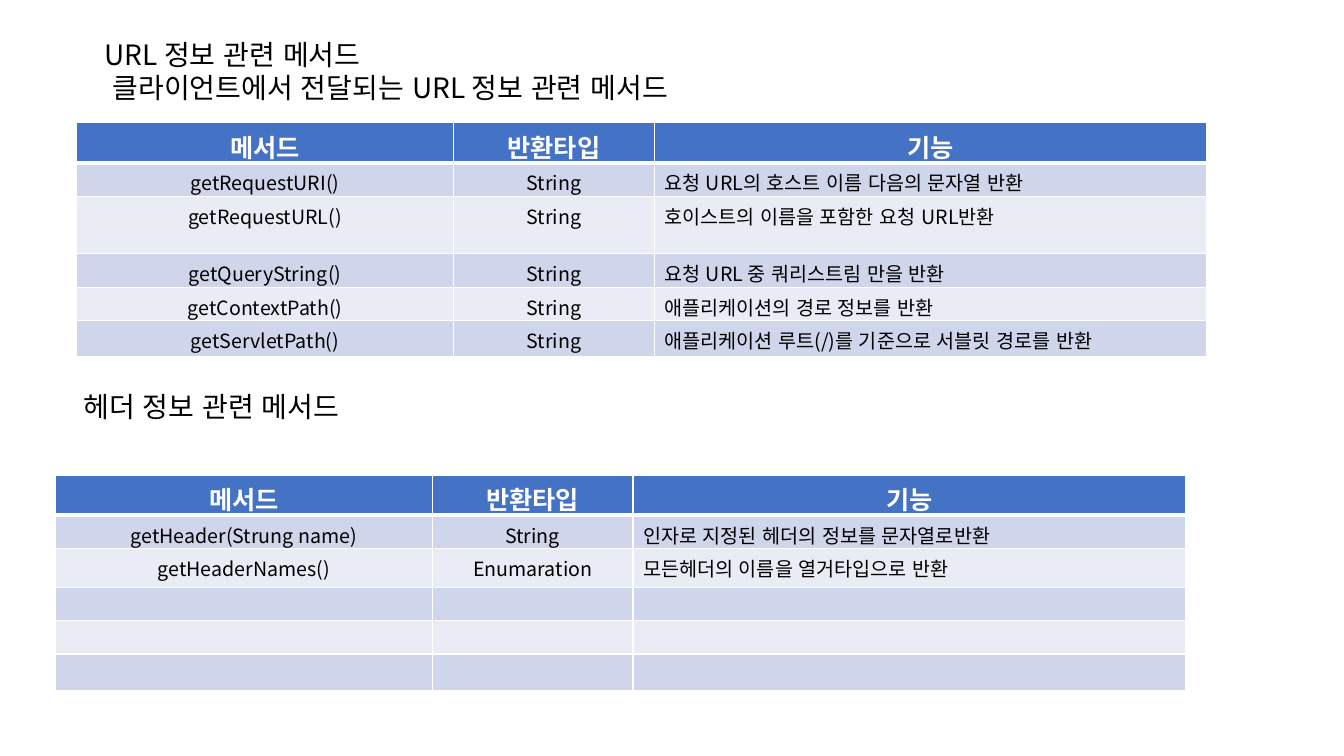
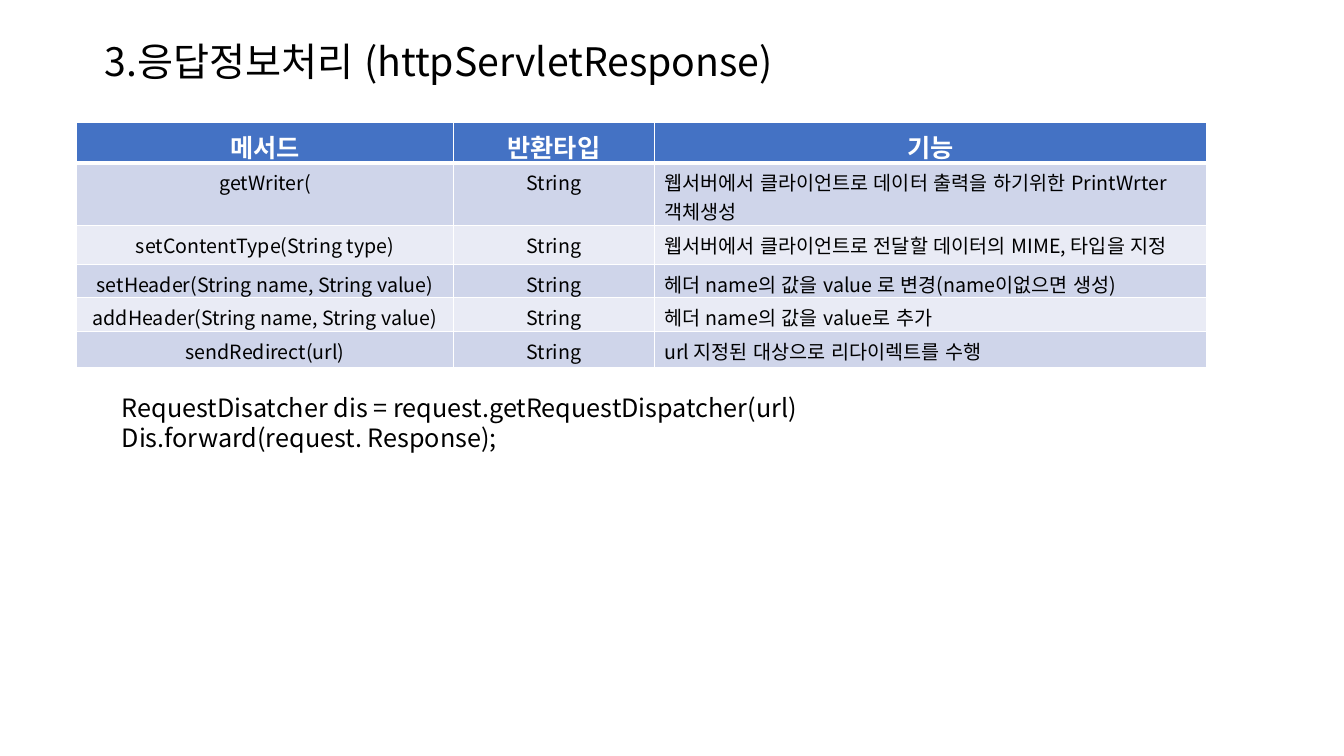
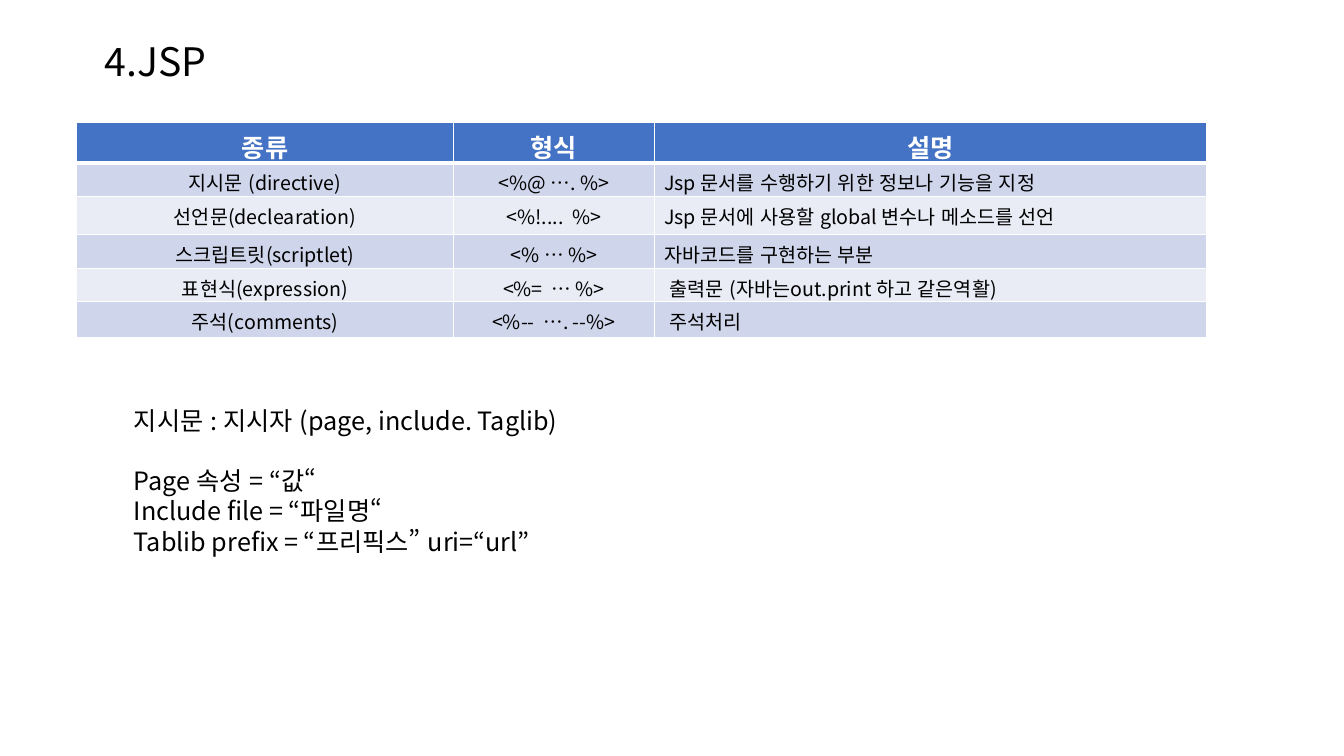
from lxml.etree import SubElement
from pptx import Presentation
from pptx.dml.color import RGBColor
from pptx.enum.lang import MSO_LANGUAGE_ID as Language
from pptx.enum.text import MSO_ANCHOR, PP_ALIGN
from pptx.oxml.ns import qn
from pptx.util import Pt

FONT = "Noto Sans CJK KR"
COLORS = {
    "text": "000000",
    "white": "FFFFFF",
    "header": "4472C4",
    "band_dark": "CFD5EA",
    "band_light": "E9EBF5",
}
COLUMN_WIDTHS = (269.3, 143.3, 394.6)
HEADER_HEIGHT = 28.6
ROW_HEIGHTS = (23.9, 27.4, 23.9, 23.9, 25.9)
TITLE_LEFT, TITLE_TOP = 67.7, 23
TABLE_LEFT, TABLE_TOP = 54.7, 87.8
CONTENT_WIDTH = 794.2
METHOD_HEADINGS = ("메서드", "반환타입", "기능")


class Deck:
    def __init__(self):
        self.presentation = Presentation()
        self.presentation.slide_width = Pt(960)
        self.presentation.slide_height = Pt(540)
        self.slide = None

    def new_slide(self):
        blank = self.presentation.slide_layouts[6]
        self.slide = self.presentation.slides.add_slide(blank)

    def run(self, paragraph, text, size, color="text", bold=False):
        run = paragraph.add_run()
        run.text = text
        font = run.font
        font.size, font.bold, font.name = Pt(size), bold, FONT
        font.language_id = Language.KOREAN
        font.color.rgb = RGBColor.from_string(COLORS[color])
        latin = run._r.rPr.find(qn("a:latin"))
        east_asian = SubElement(run._r.rPr, qn("a:ea"), typeface=FONT)
        latin.addnext(east_asian)

    def text(self, left, top, width, height, paragraphs, size, gap_before=None):
        """Each paragraph is a list of lines; gap_before is the index after a gap."""
        box = self.slide.shapes.add_textbox(Pt(left), Pt(top), Pt(width), Pt(height))
        frame = box.text_frame
        frame.word_wrap = True
        for index, lines in enumerate(paragraphs):
            paragraph = frame.add_paragraph() if index else frame.paragraphs[0]
            if index == gap_before:
                paragraph.space_before = Pt(size * 1.2)
            for number, line in enumerate(lines):
                if number:
                    paragraph.add_line_break()
                self.run(paragraph, line, size)

    def title(self, *lines, size=28, left=TITLE_LEFT, top=TITLE_TOP):
        height = 7.2 + len(lines) * size * 1.2
        self.text(left, top, CONTENT_WIDTH, height, [lines], size)

    def borders(self, cell, top, bottom):
        properties = cell._tc.get_or_add_tcPr()
        sides = (("a:lnL", 1), ("a:lnR", 1), ("a:lnT", top), ("a:lnB", bottom))
        for position, (side, width) in enumerate(sides):
            line = SubElement(properties, qn(side), w=str(Pt(width)))
            fill = SubElement(line, qn("a:solidFill"))
            SubElement(fill, qn("a:srgbClr"), val=COLORS["white"])
            properties.insert(position, line)

    def cell(self, cell, text, row, column):
        is_header = row == 0
        size = 18 if is_header else 14
        band = "header" if is_header else ("band_light", "band_dark")[row % 2]
        cell.fill.solid()
        cell.fill.fore_color.rgb = RGBColor.from_string(COLORS[band])
        cell.margin_top = Pt(3.6)
        cell.margin_bottom = Pt(0)
        cell.vertical_anchor = MSO_ANCHOR.TOP
        self.borders(cell, top=3 if row == 1 else 1, bottom=3 if is_header else 1)
        paragraph = cell.text_frame.paragraphs[0]
        if is_header or column < 2:
            paragraph.alignment = PP_ALIGN.CENTER
        if text:
            self.run(paragraph, text, size, "white" if is_header else "text", is_header)
        else:
            SubElement(paragraph._p, qn("a:endParaRPr"), sz=str(size * 100))

    def table(self, headings, entries, left=TABLE_LEFT, top=TABLE_TOP, tall_rows=None):
        """Draw a heading and five banded rows; tall_rows maps a row to its height."""
        heights = [HEADER_HEIGHT, *ROW_HEIGHTS]
        for row, height in (tall_rows or {}).items():
            heights[row] = height
        frame = self.slide.shapes.add_table(
            len(heights), len(COLUMN_WIDTHS), Pt(left), Pt(top),
            Pt(sum(COLUMN_WIDTHS)), Pt(sum(heights)))
        table = frame.table
        for column, width in zip(table.columns, COLUMN_WIDTHS):
            column.width = Pt(width)
        blanks = [("", "", "")] * (len(ROW_HEIGHTS) - len(entries))
        for row, texts in enumerate([headings, *entries, *blanks]):
            table.rows[row].height = Pt(heights[row])
            for column, text in enumerate(texts):
                self.cell(table.cell(row, column), text, row, column)


def request_slide(deck):
    deck.new_slide()
    deck.title("URL 정보 관련 메서드", " 클라이언트에서 전달되는 URL 정보 관련 메서드", size=20)
    deck.table(METHOD_HEADINGS, [
        ("getRequestURI()", "String", "요청 URL의 호스트 이름 다음의 문자열 반환"),
        ("getRequestURL()", "String", "호이스트의 이름을 포함한 요청 URL반환"),
        ("getQueryString()", "String", "요청 URL 중 쿼리스트림 만을 반환"),
        ("getContextPath()", "String", "애플리케이션의 경로 정보를 반환"),
        ("getServletPath()", "String", "애플리케이션 루트(/)를 기준으로 서블릿 경로를 반환"),
    ], tall_rows={2: 41})
    deck.title("헤더 정보 관련 메서드", size=20, left=52.6, top=274.3)
    deck.table(METHOD_HEADINGS, [
        ("getHeader(Strung name)", "String", "인자로 지정된 헤더의 정보를 문자열로반환"),
        ("getHeaderNames()", "Enumaration", "모든헤더의 이름을 열거타입으로 반환"),
    ], left=39.6, top=339.5)


def response_slide(deck):
    deck.new_slide()
    deck.title("3.응답정보처리 (httpServletResponse)")
    deck.table(METHOD_HEADINGS, [
        ("getWriter(", "String", "웹서버에서 클라이언트로 데이터 출력을 하기위한 PrintWrter 객체생성"),
        ("setContentType(String type)", "String",
         "웹서버에서 클라이언트로 전달할 데이터의 MIME, 타입을 지정"),
        ("setHeader(String name, String value)", "String",
         "헤더 name의 값을 value 로 변경(name이없으면 생성)"),
        ("addHeader(String name, String value)", "String", "헤더 name의 값을 value로 추가"),
        ("sendRedirect(url)", "String", "url 지정된 대상으로 리다이렉트를 수행"),
    ], tall_rows={1: 45})
    deck.text(79.9, 276.5, 638.6, 51, [
        ["RequestDisatcher dis = request.getRequestDispatcher(url)"],
        ["Dis.forward(request. Response);"],
    ], 18)


def jsp_slide(deck):
    deck.new_slide()
    deck.title("4.JSP")
    deck.table(("종류", "형식", "설명"), [
        ("지시문 (directive)", "<%@ …. %>", "Jsp 문서를 수행하기 위한 정보나 기능을 지정"),
        ("선언문(declearation)", "<%!....  %>", "Jsp 문서에 사용할 global 변수나 메소드를 선언"),
        ("스크립트릿(scriptlet)", "<% … %>", "자바코드를 구현하는 부분"),
        ("표현식(expression)", "<%=  … %>", " 출력문 (자바는out.print 하고 같은역활)"),
        ("주석(comments)", "<%--  …. --%>", " 주석처리"),
    ])
    deck.text(88.6, 285.8, 781.9, 116.6, [
        ["지시문 : 지시자 (page, include. Taglib)"],
        ["Page 속성 = “값“"],
        ["Include file = “파일명“"],
        ["Tablib prefix = “프리픽스” uri=“url”"],
    ], 18, gap_before=1)


def main():
    deck = Deck()
    request_slide(deck)
    response_slide(deck)
    jsp_slide(deck)
    deck.presentation.save("out.pptx")


if __name__ == "__main__":
    main()
